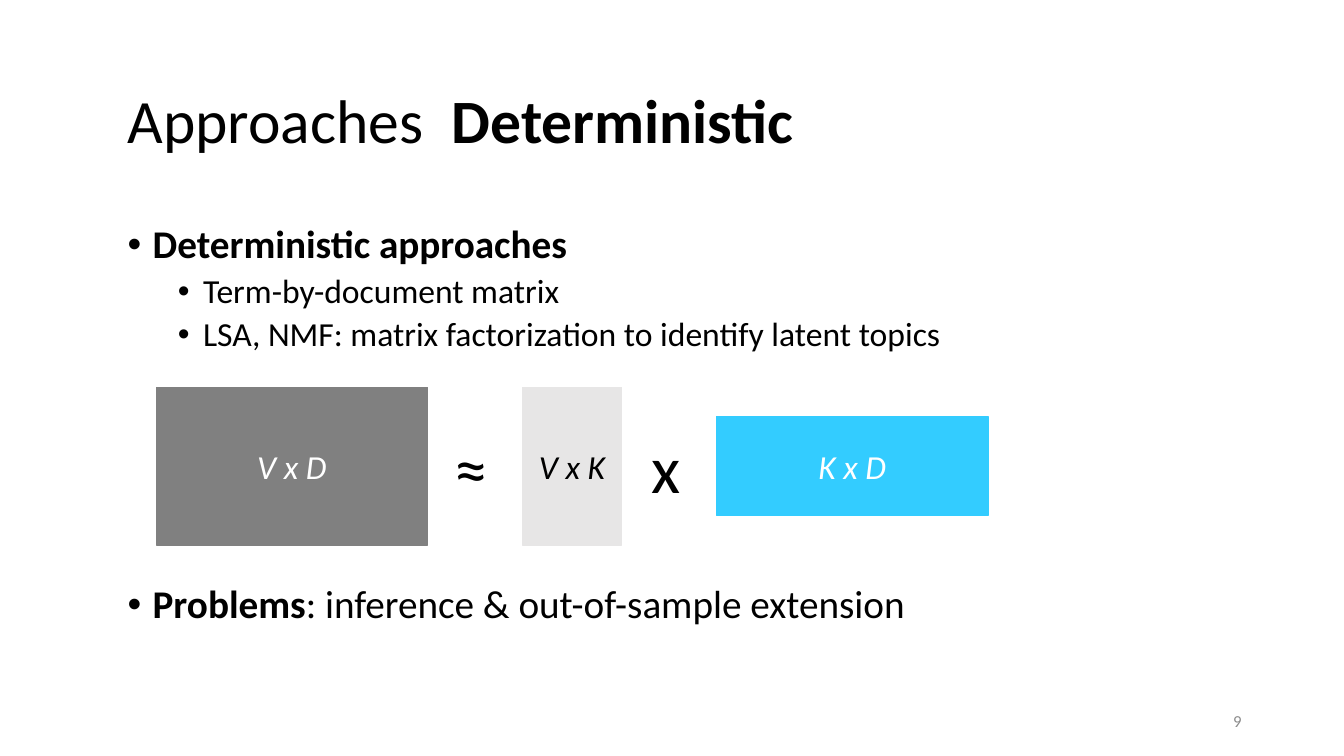
"""Build the slide on deterministic approaches to topic modelling."""
from dataclasses import dataclass

from lxml.etree import SubElement
from pptx import Presentation
from pptx.dml.color import RGBColor
from pptx.enum.shapes import MSO_SHAPE
from pptx.enum.text import MSO_ANCHOR, PP_ALIGN
from pptx.oxml.ns import qn
from pptx.util import Inches, Pt


@dataclass(frozen=True)
class Theme:
    """Colours, font and type sizes of the slide."""
    font: str = "Calibri"
    black: str = "000000"
    white: str = "FFFFFF"
    muted: str = "8C8C8C"
    dark_gray: str = "808080"
    light_gray: str = "E7E6E6"
    cyan: str = "33CCFF"
    title: int = 44
    operator: int = 48
    body: int = 28
    detail: int = 24
    footer: int = 12


THEME = Theme()
COLUMNS, ROWS = 160, 90


def add_text(paragraph, text, size=THEME.body, color=THEME.black, bold=False,
             italic=False, tracking=0):
    """Append a formatted run to a paragraph."""
    run = paragraph.add_run()
    run.text = text
    font = run.font
    font.name, font.size = THEME.font, Pt(size)
    font.bold, font.italic = bold, italic
    font.color.rgb = RGBColor.from_string(color)
    if tracking:
        font._element.set("spc", str(tracking * 100))


class SlideBuilder:
    """Draw elements on one slide, measured in grid columns and rows."""

    def __init__(self, presentation):
        """Add a blank slide and derive its grid."""
        self.slide = presentation.slides.add_slide(presentation.slide_layouts[6])
        self.column = presentation.slide_width / COLUMNS
        self.row = presentation.slide_height / ROWS

    def place(self, left, top, width, height):
        """Convert grid units to slide lengths."""
        return (int(left * self.column), int(top * self.row),
                int(width * self.column), int(height * self.row))

    def text_box(self, *area, anchor=MSO_ANCHOR.MIDDLE, align=PP_ALIGN.LEFT):
        """Add a wrapping text box and return its text frame."""
        frame = self.slide.shapes.add_textbox(*self.place(*area)).text_frame
        frame.word_wrap = True
        frame.vertical_anchor = anchor
        frame.paragraphs[0].alignment = align
        return frame

    def bullet(self, paragraph, level=0, before=10):
        """Give a paragraph a bullet, a hanging indent and spacing."""
        paragraph.level = level
        paragraph.line_spacing = 0.9
        paragraph.space_before = Pt(before)
        properties = paragraph._p.get_or_add_pPr()
        properties.set("marL", str(Inches(0.25 + 0.5 * level)))
        properties.set("indent", str(Inches(-0.25)))
        SubElement(properties, qn("a:buFont")).set("typeface", "Arial")
        SubElement(properties, qn("a:buChar")).set("char", "•")

    def matrix(self, label, *area, fill, color):
        """Add a labelled rectangle that stands for a matrix."""
        shape = self.slide.shapes.add_shape(MSO_SHAPE.RECTANGLE, *self.place(*area))
        shape.shadow.inherit = False
        shape.fill.solid()
        shape.fill.fore_color.rgb = RGBColor.from_string(fill)
        shape.line.color.rgb = RGBColor.from_string(fill)
        shape.line.width = Pt(1)
        shape.text_frame.vertical_anchor = MSO_ANCHOR.MIDDLE
        paragraph = shape.text_frame.paragraphs[0]
        paragraph.alignment = PP_ALIGN.CENTER
        add_text(paragraph, label, size=THEME.detail, color=color, italic=True)

    def operator(self, symbol, center, middle):
        """Add an operator centred on a grid point."""
        width, height = 6.7, 10.9
        frame = self.text_box(center - width / 2, middle - height / 2, width, height,
                              align=PP_ALIGN.CENTER)
        add_text(frame.paragraphs[0], symbol, size=THEME.operator)


def add_title(builder):
    """Add the slide title."""
    paragraph = builder.text_box(14, 7.3, 135, 14.8).paragraphs[0]
    paragraph.line_spacing = 0.9
    add_text(paragraph, "Approaches", size=THEME.title)
    add_text(paragraph, " ", size=THEME.title, tracking=10)
    add_text(paragraph, "Deterministic", size=THEME.title, bold=True)


def add_body(builder):
    """Add the bullets, with room for the equation before the last one."""
    frame = builder.text_box(14, 26.2, 135, 63, anchor=MSO_ANCHOR.TOP)
    heading = frame.paragraphs[0]
    builder.bullet(heading)
    add_text(heading, "Deterministic approaches", bold=True)
    for detail in ("Term-by-document matrix",
                   "LSA, NMF: matrix factorization to identify latent topics"):
        paragraph = frame.add_paragraph()
        builder.bullet(paragraph, level=1, before=5)
        add_text(paragraph, detail, size=THEME.detail)
    problems = frame.add_paragraph()
    builder.bullet(problems, before=165)
    add_text(problems, "Problems", bold=True)
    add_text(problems, ": inference & out-of-sample extension")


def add_equation(builder):
    """Lay out the factorization from left to right with equal gaps."""
    terms, documents, topics = 18.8, 32.3, 11.8
    left, middle, gap = 18.6, 55.5, 11.3
    factors = (
        ("V x D", documents, terms, THEME.dark_gray, THEME.white, "≈"),
        ("V x K", topics, terms, THEME.light_gray, THEME.black, "x"),
        ("K x D", documents, topics, THEME.cyan, THEME.white, None),
    )
    for label, width, height, fill, color, symbol in factors:
        builder.matrix(label, left, middle - height / 2, width, height,
                       fill=fill, color=color)
        left += width + gap
        if symbol:
            builder.operator(symbol, left - gap / 2 - 0.4, middle)


def add_page_number(builder):
    """Add the page number at the lower right."""
    frame = builder.text_box(113, 83.4, 36, 4.8, align=PP_ALIGN.RIGHT)
    add_text(frame.paragraphs[0], "9", size=THEME.footer, color=THEME.muted)


def main():
    """Create and save the presentation."""
    presentation = Presentation()
    presentation.slide_width, presentation.slide_height = Inches(13.33), Inches(7.5)
    builder = SlideBuilder(presentation)
    add_body(builder)
    add_page_number(builder)
    add_title(builder)
    add_equation(builder)
    presentation.save("out.pptx")


main()
